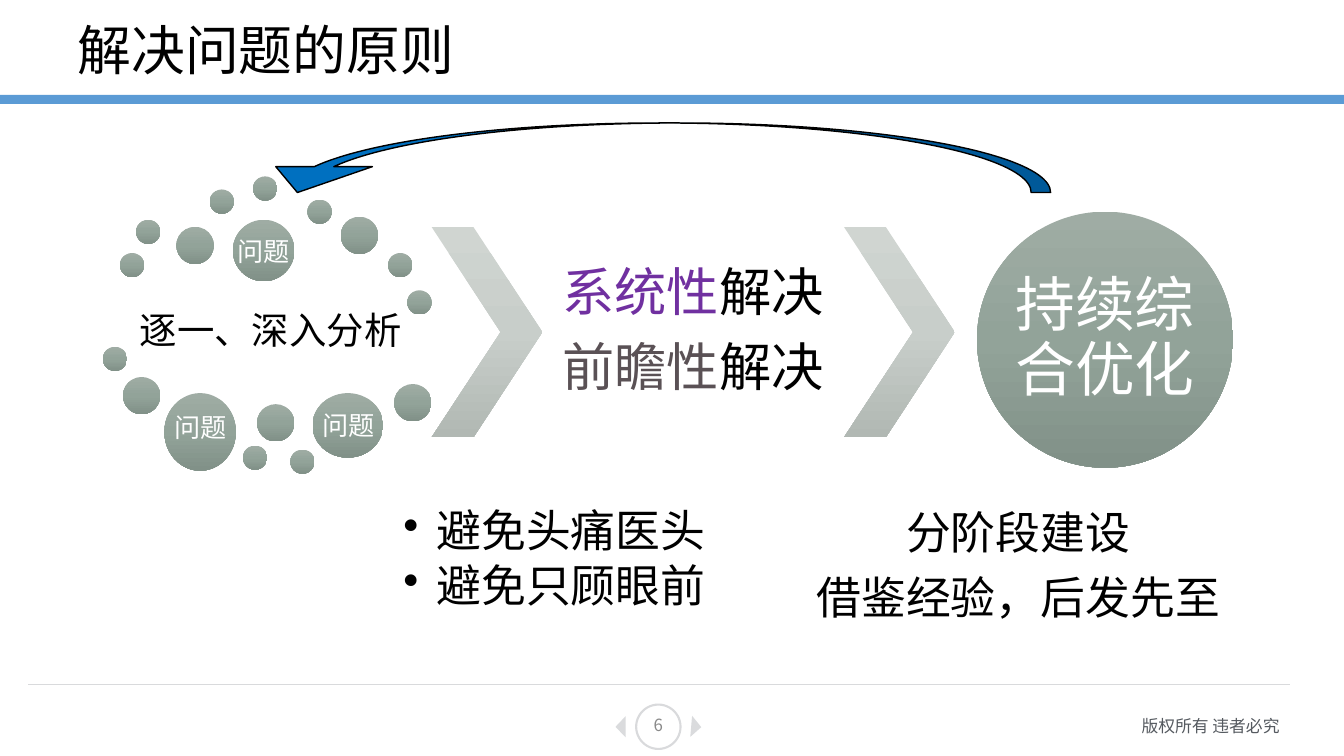
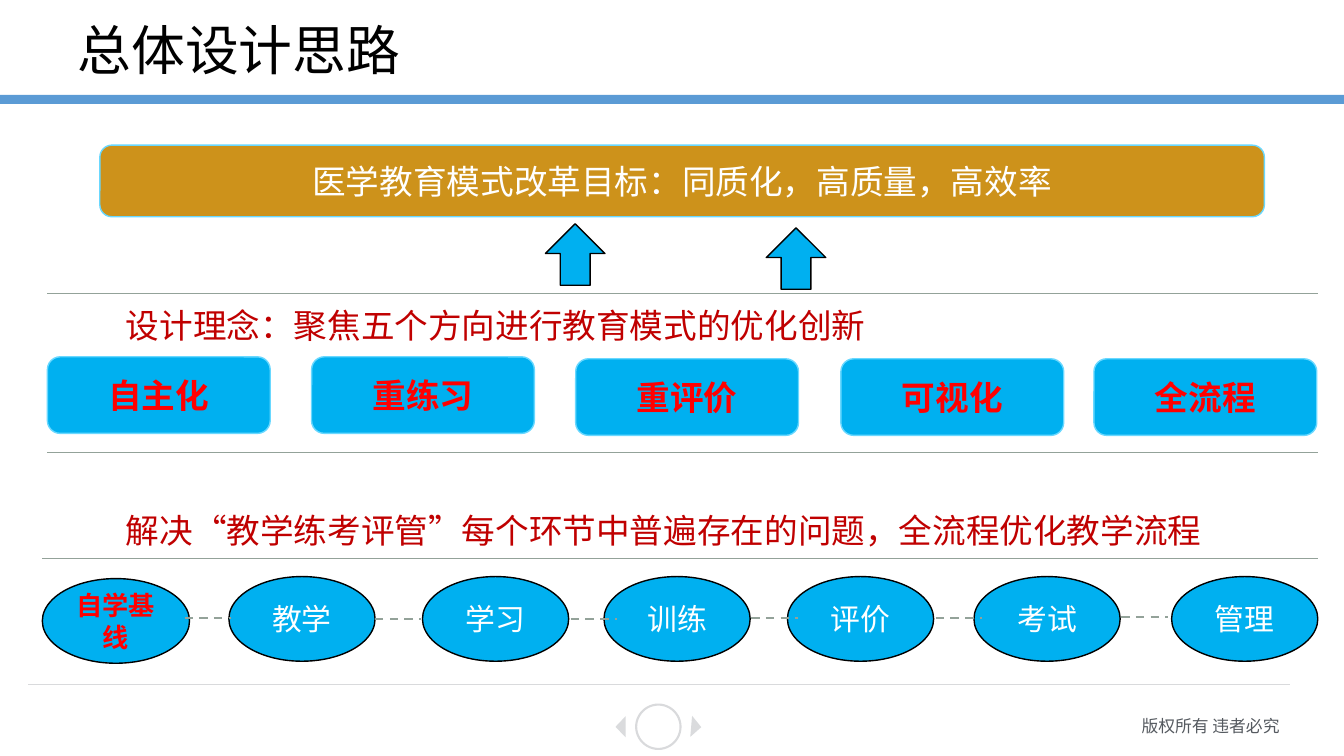
from copy import deepcopy
from typing import NamedTuple, Optional, Sequence

from lxml.etree import SubElement
from pptx import Presentation
from pptx.dml.color import RGBColor
from pptx.enum.dml import MSO_LINE
from pptx.enum.shapes import MSO_CONNECTOR, MSO_SHAPE as Preset
from pptx.enum.text import MSO_ANCHOR as Anchor, PP_ALIGN as Align
from pptx.oxml.ns import qn
from pptx.util import Inches, Pt

SANS = "Noto Sans CJK SC"
BODY = "Calibri"
BLACK = "000000"
WHITE = "FFFFFF"
RED = "FF0000"
DARK_RED = "C00000"
BAND = "5B9BD5"
FOOTER_LINE = "D9DADC"
FOOTER_ARROW = "DADBDD"
FOOTER_TEXT = "555A60"
PAGE_NUMBER = "898989"
BRIGHT_BLUE = "00B0F0"
PALE_BLUE = "69D8FF"
ARROW_BLUE = "0070C0"
GOLD = "CD921B"
SAGE = "93A299"
PURPLE = "7030A0"
GREY = "5A5155"
SAGE_GRADIENT = ("9FACA4", "92A399", "819188")
CHEVRON_GRADIENT = ("D0D5D1", "C8CECA", "B1B8B3")


class Box(NamedTuple):
    """Left, top, width and height in inches."""

    left: float
    top: float
    width: float
    height: float


class Span(NamedTuple):
    """A piece of text with its own colour."""

    text: str
    color: str


class Label(NamedTuple):
    """A word and the place of its shape."""

    text: str
    left: float
    top: float


SMALL, MEDIUM = 0.24, 0.37
SMALL_DOTS = [
    (1.19, 2.51), (1.35, 2.18), (2.08, 1.88), (2.51, 1.75), (3.05, 1.98), (3.85, 2.51),
    (4.04, 2.88), (1.02, 3.44), (2.41, 4.42), (2.88, 4.46),
]
MEDIUM_DOTS = [(1.75, 2.25), (3.38, 2.15), (1.22, 3.74), (2.55, 4.01), (3.91, 3.81)]
LARGE_DOTS = [Box(2.31, 2.18, 0.61, 0.61), Box(1.63, 3.9, 0.71, 0.77), Box(3.1, 3.9, 0.7, 0.64)]
PROBLEM_LABELS = [Label("问题", 2.26, 2.29), Label("问题", 1.63, 4.03), Label("问题", 3.1, 4.01)]
DIRECTIONS = [
    Label("自主化", 0.47, 3.54),
    Label("重练习", 3.09, 3.54),
    Label("重评价", 5.71, 3.56),
    Label("可视化", 8.34, 3.56),
    Label("全流程", 10.85, 3.56),
]
STAGES = [
    Label("教学", 2.27, 5.72),
    Label("学习", 4.19, 5.72),
    Label("训练", 5.99, 5.72),
    Label("评价", 7.81, 5.72),
    Label("考试", 9.66, 5.72),
    Label("管理", 11.62, 5.72),
]
STAGE_LINKS = [(1.83, 6.13), (3.72, 6.14), (5.66, 6.14), (7.45, 6.13), (9.28, 6.13), (11.12, 6.12)]


def rgb(color: str) -> RGBColor:
    """Turn a hex string into a colour."""
    return RGBColor.from_string(color)


def place(box: Box) -> tuple:
    """Convert a box to slide lengths."""
    return tuple(Inches(value) for value in box)


def write_text(shape, lines: Sequence, *, size: float, color: str = BLACK, font: str = BODY,
               bold: bool = False, align=Align.LEFT, anchor=Anchor.TOP,
               spacing: Optional[float] = None, after: float = 0,
               inset: Optional[float] = None, bullet: bool = False) -> None:
    """Fill a shape with lines, each a string or a list of spans."""
    frame = shape.text_frame
    frame.word_wrap = True
    frame.vertical_anchor = anchor
    if inset is not None:
        frame.margin_left = frame.margin_right = Inches(inset)
        frame.margin_top = frame.margin_bottom = Inches(inset)
    for index, line in enumerate(lines):
        paragraph = frame.add_paragraph() if index else frame.paragraphs[0]
        paragraph.alignment = align
        if spacing:
            paragraph.line_spacing = spacing
        if after:
            paragraph.space_after = Pt(round(size * after, 1))
        if bullet:
            properties = paragraph._p.get_or_add_pPr()
            properties.set("marL", str(Inches(0.33)))
            properties.set("indent", str(-Inches(0.33)))
            SubElement(properties, qn("a:buChar")).set("char", "•")
        for span in [Span(line, color)] if isinstance(line, str) else line:
            run = paragraph.add_run()
            run.text = span.text
            run.font.size = Pt(size)
            run.font.bold = bold
            run.font.name = font
            run.font.color.rgb = rgb(span.color)
            SubElement(run._r.get_or_add_rPr(), qn("a:ea")).set("typeface", font)


def add_text(slide, box: Box, lines: Sequence, **text_format) -> None:
    """Add a text box."""
    write_text(slide.shapes.add_textbox(*place(box)), lines, **text_format)


def fill_gradient(shape, colors: Sequence[str]) -> None:
    """Fill a shape with three colours from top to bottom."""
    shape.fill.gradient()
    shape.fill.gradient_angle = 270
    stop_list = shape._element.spPr.find(".//" + qn("a:gsLst"))
    stop_list.insert(1, deepcopy(stop_list[0]))
    for stop, position, color in zip(shape.fill.gradient_stops, (0, 0.5, 1), colors):
        stop.position = position
        stop.color.rgb = rgb(color)


def add_shape(slide, preset, box: Box, *, fill: Optional[str] = None,
              gradient: Sequence[str] = (), line: Optional[str] = None,
              line_width: float = 1, rotation: float = 0, adjustments: Sequence[float] = ()):
    """Add a preset shape without shadow."""
    shape = slide.shapes.add_shape(preset, *place(box))
    shape.shadow.inherit = False
    shape.rotation = rotation
    for index, value in enumerate(adjustments):
        shape.adjustments[index] = value
    if gradient:
        fill_gradient(shape, gradient)
    elif fill:
        shape.fill.solid()
        shape.fill.fore_color.rgb = rgb(fill)
    else:
        shape.fill.background()
    if line:
        shape.line.color.rgb = rgb(line)
        shape.line.width = Pt(line_width)
    else:
        shape.line.fill.background()
    return shape


def add_label(slide, preset, box: Box, text: str, *, fill: str, line: str,
              size: float, color: str = WHITE, bold: bool = False) -> None:
    """Add a filled shape with centred text."""
    shape = add_shape(slide, preset, box, fill=fill, line=line)
    write_text(shape, [text], size=size, color=color, bold=bold,
               align=Align.CENTER, anchor=Anchor.MIDDLE)


def add_line(slide, left: float, right: float, top: float, color: str = SAGE,
             width: float = 0.5, dashed: bool = False) -> None:
    """Add a horizontal line."""
    connector = slide.shapes.add_connector(
        MSO_CONNECTOR.STRAIGHT, Inches(left), Inches(top), Inches(right), Inches(top))
    connector.line.color.rgb = rgb(color)
    connector.line.width = Pt(width)
    if dashed:
        connector.line.dash_style = MSO_LINE.DASH
    SubElement(connector._element.spPr, qn("a:effectLst"))


def add_framed_slide(presentation, title: str):
    """Add a slide with the shared title, band and footer."""
    slide = presentation.slides.add_slide(presentation.slide_layouts[6])
    add_shape(slide, Preset.RECTANGLE, Box(0, 0.94, 13.33, 0.09), fill=BAND)
    add_text(slide, Box(9.4, 7.05, 3.39, 0.3), ["版权所有 违者必究"],
             size=12, font=SANS, color=FOOTER_TEXT, align=Align.RIGHT)
    add_line(slide, 0.28, 12.79, 6.79, FOOTER_LINE)
    add_shape(slide, Preset.OVAL, Box(6.31, 6.99, 0.44, 0.44), line=FOOTER_LINE, line_width=1.5)
    for left, rotation in ((6.05, 270), (6.8, 94.8)):
        add_shape(slide, Preset.ISOSCELES_TRIANGLE, Box(left, 7.16, 0.21, 0.1),
                  fill=FOOTER_ARROW, rotation=rotation)
    add_text(slide, Box(0.67, 0.18, 12, 0.69), [title], size=38.4, font=SANS,
             anchor=Anchor.MIDDLE, spacing=0.9)
    return slide


def build_principles(presentation) -> None:
    """Build the slide on principles of solving problems."""
    slide = add_framed_slide(presentation, "解决问题的原则")
    centred = dict(align=Align.CENTER, anchor=Anchor.MIDDLE, spacing=0.9, after=0.35)
    add_text(slide, Box(1.19, 2.81, 2.99, 0.98), ["逐一、深入分析"], size=26.7, inset=0.04, **centred)
    dots = [Box(left, top, SMALL, SMALL) for left, top in SMALL_DOTS]
    dots += [Box(left, top, MEDIUM, MEDIUM) for left, top in MEDIUM_DOTS]
    for dot in dots + LARGE_DOTS:
        add_shape(slide, Preset.OVAL, dot, gradient=SAGE_GRADIENT)
    for left in (4.28, 8.37):
        add_shape(slide, Preset.CHEVRON, Box(left, 2.25, 1.1, 2.09),
                  gradient=CHEVRON_GRADIENT, adjustments=[0.623])
    solutions = [
        [Span("系统性", PURPLE), Span("解决", BLACK)],
        [Span("前瞻性", GREY), Span("解决", BLACK)],
    ]
    add_text(slide, Box(5.38, 2.25, 2.99, 2.09), solutions, size=37.3, inset=0.05, **centred)
    add_text(slide, Box(3.96, 5.01, 3.34, 1.85), ["避免头痛医头", "避免只顾眼前"],
             size=32, spacing=0.9, after=0.15, inset=0.04, bullet=True)
    goal = add_shape(slide, Preset.OVAL, Box(9.69, 2.1, 2.54, 2.54), gradient=SAGE_GRADIENT)
    write_text(goal, ["持续综合优化"], size=42.7, color=WHITE, inset=0, **centred)
    add_text(slide, Box(7.63, 5.01, 4.94, 1.24), ["分阶段建设", "借鉴经验，后发先至"],
             size=32, inset=0.05, **centred)
    for label in PROBLEM_LABELS:
        add_text(slide, Box(label.left, label.top, 0.84, 0.41), [label.text],
                 size=18.7, color=WHITE, font="Arial")
    add_shape(slide, Preset.CURVED_UP_ARROW, Box(2.47, 1.22, 7.95, 0.69), fill=ARROW_BLUE,
              line=BLACK, rotation=180, adjustments=[0.28, 1.389, 0.372])
    add_text(slide, Box(5.03, 6.99, 3, 0.4), ["6"], size=12, font=SANS, color=PAGE_NUMBER,
             align=Align.CENTER, anchor=Anchor.MIDDLE)


def build_design(presentation) -> None:
    """Build the slide on the overall design."""
    slide = add_framed_slide(presentation, "总体设计思路")
    add_label(slide, Preset.ROUNDED_RECTANGLE, Box(0.99, 1.44, 11.55, 0.71),
              "医学教育模式改革目标：同质化，高质量，高效率", fill=GOLD, line=PALE_BLUE, size=24)
    for left, top in ((5.41, 2.22), (7.6, 2.26)):
        add_shape(slide, Preset.UP_ARROW, Box(left, top, 0.59, 0.61), fill=BRIGHT_BLUE, line=BLACK)
    for left, top in ((0.47, 2.91), (0.47, 4.49), (0.42, 5.54)):
        add_line(slide, left, 13.07, top)
    headings = (
        ("设计理念：聚焦五个方向进行教育模式的优化创新", 2.98),
        ("解决“教学练考评管”每个环节中普遍存在的问题，全流程优化教学流程", 5.01),
    )
    for text, top in headings:
        add_text(slide, Box(1.15, top, 11.5, 0.5), [text], size=24, font=SANS, color=DARK_RED)
    for label in DIRECTIONS:
        add_label(slide, Preset.ROUNDED_RECTANGLE, Box(label.left, label.top, 2.21, 0.76),
                  label.text, fill=BRIGHT_BLUE, line=PALE_BLUE, size=24, color=RED, bold=True)
    for label in STAGES:
        add_label(slide, Preset.OVAL, Box(label.left, label.top, 1.45, 0.84),
                  label.text, fill=BRIGHT_BLUE, line=BLACK, size=21.3)
    add_label(slide, Preset.OVAL, Box(0.42, 5.74, 1.46, 0.84), "自学基线",
              fill=BRIGHT_BLUE, line=BLACK, size=18.7, color=RED, bold=True)
    for left, top in STAGE_LINKS:
        add_line(slide, left, left + 0.46, top, width=1.5, dashed=True)


def main() -> None:
    """Build and save the presentation."""
    presentation = Presentation()
    presentation.slide_width = Inches(13.33)
    presentation.slide_height = Inches(7.5)
    build_principles(presentation)
    build_design(presentation)
    presentation.save("out.pptx")


if __name__ == "__main__":
    main()
